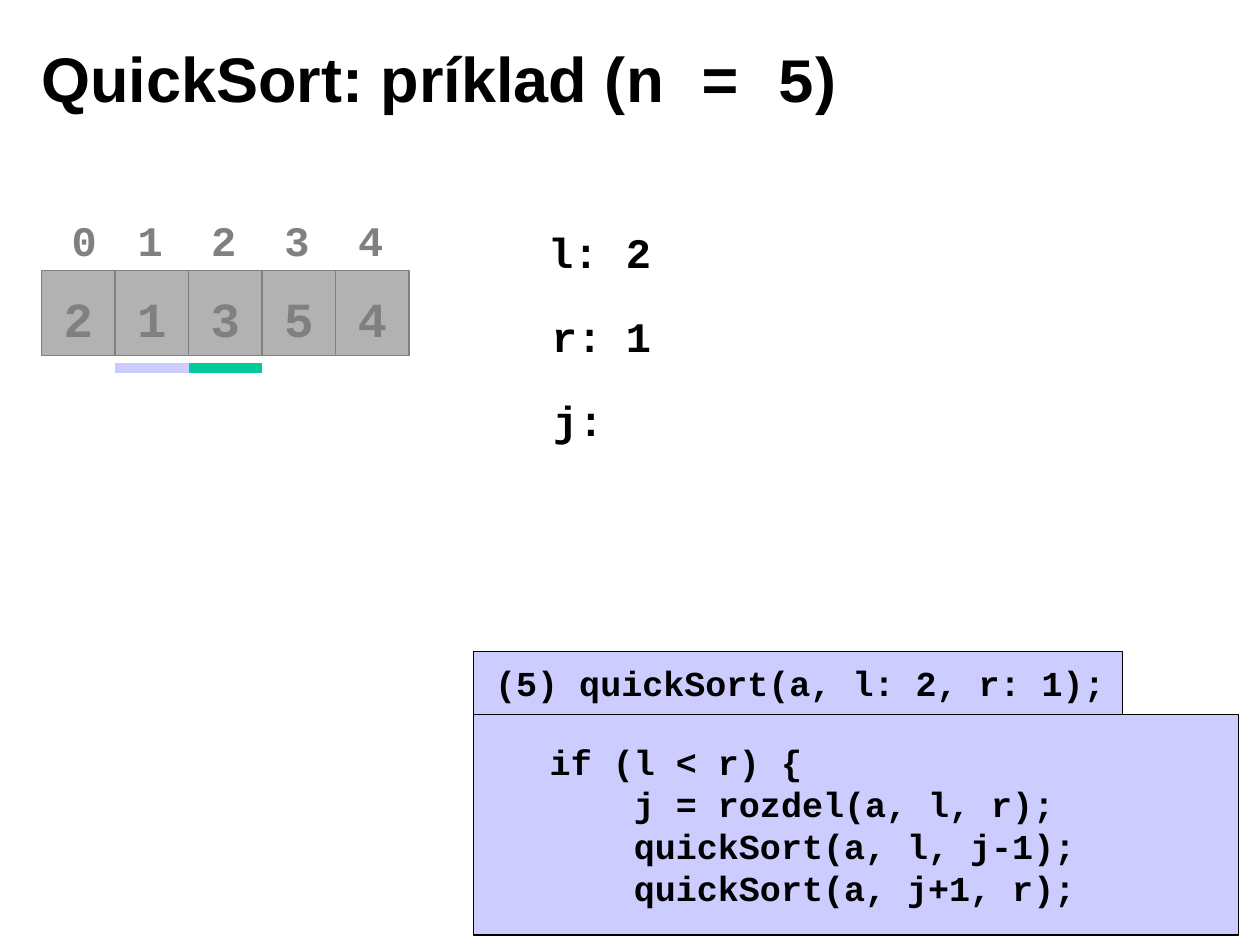
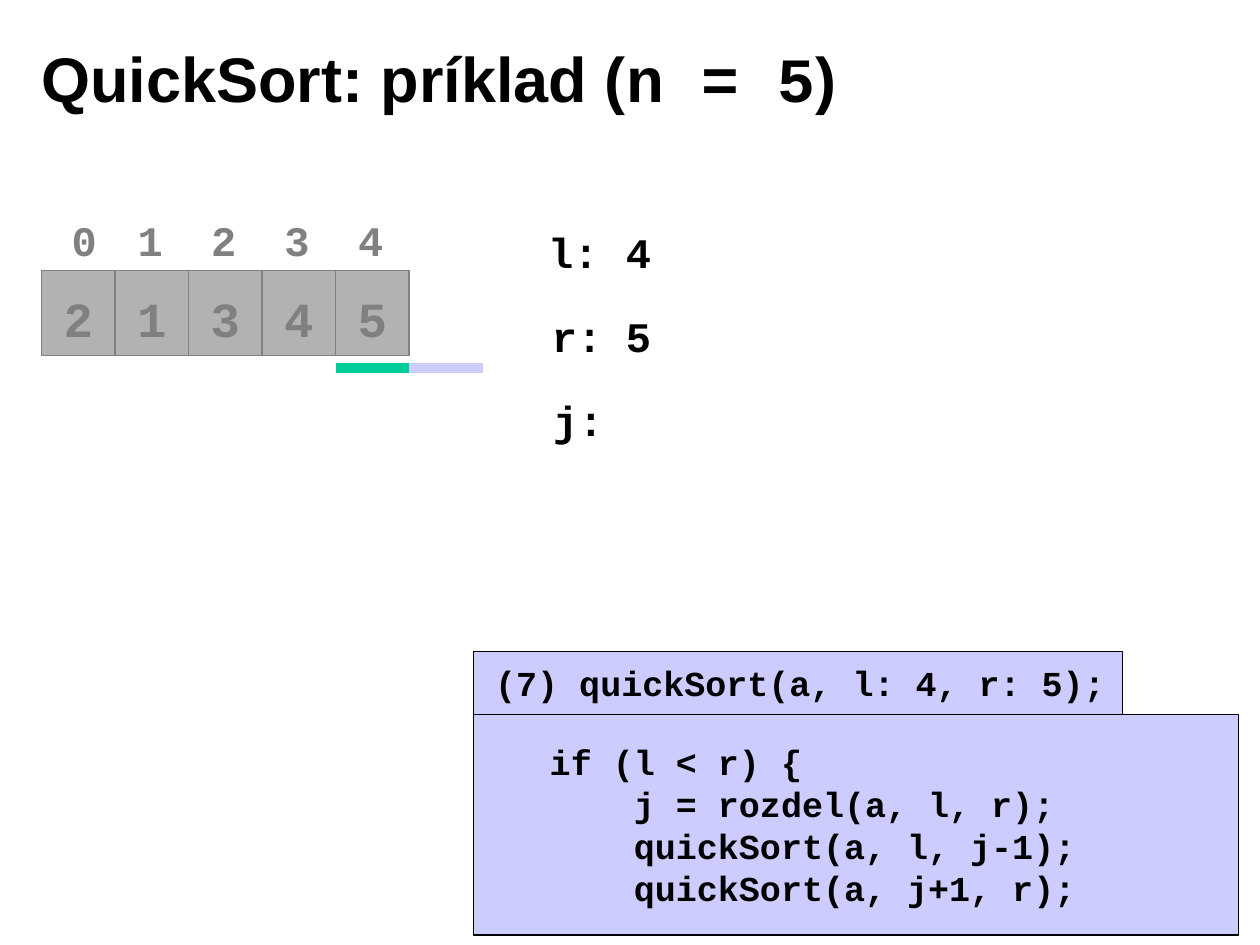
"""Build two QuickSort trace slides with python-pptx."""
from dataclasses import dataclass

from lxml.etree import SubElement
from pptx import Presentation
from pptx.dml.color import RGBColor
from pptx.enum.shapes import MSO_CONNECTOR, MSO_SHAPE
from pptx.enum.text import MSO_ANCHOR, MSO_AUTO_SIZE, PP_ALIGN
from pptx.oxml.ns import qn
from pptx.util import Inches, Pt

TITLE = [("QuickSort: príklad (", "Arial"), ("n = 5", "Courier New"), (")", "Arial")]
CODE = [
    "  if (l < r) {",
    "      j = rozdel(a, l, r);",
    "      quickSort(a, l, j-1);",
    "      quickSort(a, j+1, r);",
]
STEPS = [
    {"call": 5, "array": [2, 1, 3, 5, 4], "l": 2, "r": 1},
    {"call": 7, "array": [2, 1, 3, 4, 5], "l": 4, "r": 5},
]
VARIABLES = [("l", 4.25), ("r", 4.28), ("j", 4.29)]


@dataclass(frozen=True)
class Theme:
    """Colours, fonts and type sizes."""
    black: str = "000000"
    gray: str = "808080"
    cell: str = "B2B2B2"
    lilac: str = "CCCCFF"
    green: str = "00CC99"
    code_font: str = "Courier New"
    title_size: int = 36
    value_size: int = 28
    label_size: int = 24
    code_size: int = 20


THEME = Theme()
ARRAY_LEFT, ARRAY_TOP = 0.33, 2.15
CELL_WIDTH, CELL_HEIGHT = 7 / 12, 0.67
MARK_TOP = 2.92
VARIABLE_TOP, VARIABLE_STEP = 1.75, 2 / 3
CODE_LEFT, CALL_TOP, CODE_TOP = 3.76, 5.17, 5.67


def cell_left(index):
    """Return the left edge of an array cell."""
    return ARRAY_LEFT + index * CELL_WIDTH


def write(paragraph, text, size, color=THEME.black, font=THEME.code_font, align=PP_ALIGN.LEFT):
    """Append a bold run to a paragraph."""
    paragraph.alignment = align
    run = paragraph.add_run()
    run.text = text
    run.font.name = font
    run.font.size = Pt(size)
    run.font.bold = True
    run.font.color.rgb = RGBColor.from_string(color)


def add_label(slide, text, left, top, width=0.4, **style):
    """Add a one-line text box."""
    box = slide.shapes.add_textbox(Inches(left), Inches(top), Inches(width), Inches(0.5))
    box.text_frame.word_wrap = False
    write(box.text_frame.paragraphs[0], text, THEME.label_size, **style)


def add_box(slide, bounds, lines, size, fill, line, insets, anchor=MSO_ANCHOR.MIDDLE, **style):
    """Add an outlined rectangle holding lines of text."""
    box = slide.shapes.add_shape(MSO_SHAPE.RECTANGLE, *map(Inches, bounds))
    box.shadow.inherit = False
    box.fill.solid()
    box.fill.fore_color.rgb = RGBColor.from_string(fill)
    box.line.color.rgb = RGBColor.from_string(line)
    box.line.width = Pt(0.75)
    frame = box.text_frame
    frame.word_wrap = True
    frame.vertical_anchor = anchor
    frame.margin_left, frame.margin_top = map(Inches, insets)
    frame.margin_right = frame.margin_bottom = 0
    for index, text in enumerate(lines):
        paragraph = frame.add_paragraph() if index else frame.paragraphs[0]
        write(paragraph, text, size, **style)


def add_mark(slide, index, color):
    """Underline the array position with a thick line."""
    left, top, right = Inches(cell_left(index)), Inches(MARK_TOP), Inches(cell_left(index + 1))
    mark = slide.shapes.add_connector(MSO_CONNECTOR.STRAIGHT, left, top, right, top)
    mark.line.color.rgb = RGBColor.from_string(color)
    mark.line.width = Pt(6)
    SubElement(mark._element.spPr, qn("a:effectLst"))


def add_title(slide):
    """Fill and place the title placeholder."""
    title = slide.shapes.title
    title.left, title.top, title.width, title.height = map(Inches, (0.23, 0.15, 8.03, 0.93))
    title.text_frame.auto_size = MSO_AUTO_SIZE.NONE
    title.text_frame.vertical_anchor = MSO_ANCHOR.MIDDLE
    for text, font in TITLE:
        write(title.text_frame.paragraphs[0], text, THEME.title_size, font=font)


def add_array(slide, step):
    """Draw the indexed array and the marks of both bounds."""
    for index, value in enumerate(step["array"]):
        left = cell_left(index)
        add_box(slide, (left, ARRAY_TOP, CELL_WIDTH, CELL_HEIGHT), [str(value)],
                THEME.value_size, THEME.cell, THEME.gray, (0, 0.08),
                color=THEME.gray, align=PP_ALIGN.CENTER)
        offset = 0.08 if index else 0.14
        add_label(slide, str(index), left + offset, 1.65, color=THEME.gray)
    add_mark(slide, step["l"], THEME.green)
    add_mark(slide, step["r"], THEME.lilac)


def add_variables(slide, step):
    """List the variables with their known values."""
    for row, (name, left) in enumerate(VARIABLES):
        top = VARIABLE_TOP + row * VARIABLE_STEP
        add_label(slide, f"{name}:", left, top, width=0.6, align=PP_ALIGN.CENTER)
        if name in step:
            add_label(slide, str(step[name]), 4.87, top)


def add_code(slide, step):
    """Draw the current call above the procedure body."""
    call = f"({step['call']}) quickSort(a, l: {step['l']}, r: {step['r']});"
    add_box(slide, (CODE_LEFT, CODE_TOP, 6.07, 1.75), CODE, THEME.code_size,
            THEME.lilac, THEME.black, (0.27, 0.21), anchor=MSO_ANCHOR.TOP)
    add_box(slide, (CODE_LEFT, CALL_TOP, 5.15, 0.5), [call], THEME.code_size,
            THEME.lilac, THEME.black, (0.17, 0))


def main():
    """Build and save the presentation."""
    presentation = Presentation()
    presentation.slide_width, presentation.slide_height = Inches(10), Inches(7.5)
    for step in STEPS:
        slide = presentation.slides.add_slide(presentation.slide_layouts[5])
        add_title(slide)
        add_array(slide, step)
        add_variables(slide, step)
        add_code(slide, step)
    presentation.save("out.pptx")


if __name__ == "__main__":
    main()
